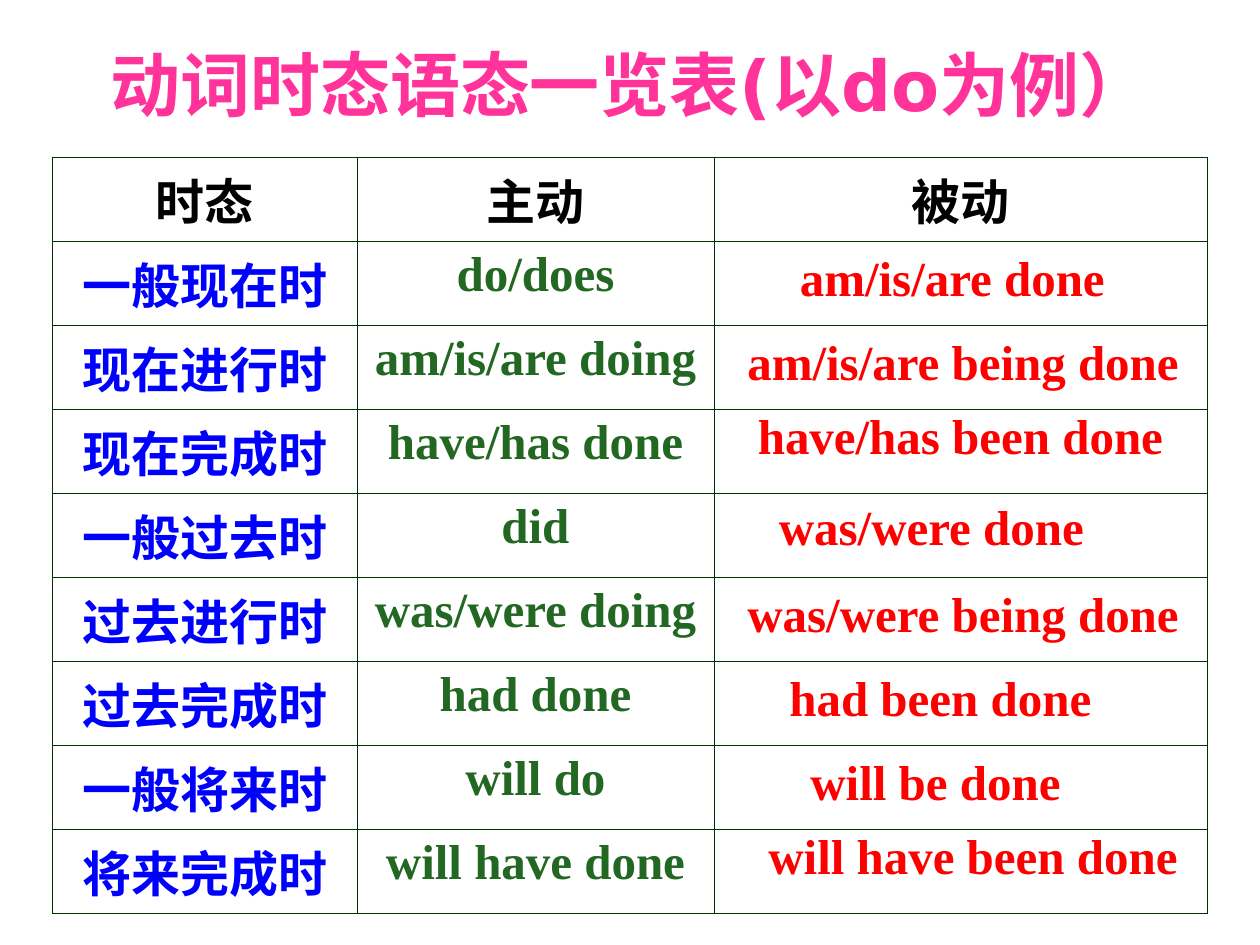
import lxml.etree
import pptx
import pptx.dml.color
import pptx.enum.text
import pptx.oxml.ns
import pptx.util

RGBColor = pptx.dml.color.RGBColor
PINK = RGBColor(0xFF, 0x33, 0x99)
BLACK = RGBColor(0x00, 0x00, 0x00)
BLUE = RGBColor(0x00, 0x00, 0xFF)
GREEN = RGBColor(0x22, 0x68, 0x22)
RED = RGBColor(0xFF, 0x00, 0x00)
BORDER = RGBColor(0x00, 0x33, 0x00)

SANS = "DejaVu Sans"
SERIF = "Times New Roman"
ALIGN = pptx.enum.text.PP_ALIGN
ANCHOR = pptx.enum.text.MSO_ANCHOR

GRID_COLUMNS, GRID_ROWS = 120, 90
COLUMN_WIDTHS = [29, 34, 47]
ROW_HEIGHT = 8
HEADINGS = ["时态", "主动", "被动"]

# Tense, active form, passive form, then the passive label's left, top and width
TENSES = [
    ("一般现在时", "do/does", "am/is/are done", 75, 23, 31.5),
    ("现在进行时", "am/is/are doing", "am/is/are being done", 70, 31, 43.5),
    ("现在完成时", "have/has done", "have/has been done", 71, 38, 43),
    ("一般过去时", "did", "was/were done", 73, 46.7, 31.5),
    ("过去进行时", "was/were doing", "was/were being done", 70, 55, 43.5),
    ("过去完成时", "had done", "had been done", 74, 63, 39),
    ("一般将来时", "will do", "will be done", 76, 71, 35),
    ("将来完成时", "will have done", "will have been done", 72, 78, 43),
]


def write_text(frame, text, font=SERIF, size=28, color=BLACK, align=ALIGN.LEFT):
    paragraph = frame.paragraphs[0]
    paragraph.alignment = align
    run = paragraph.add_run()
    run.text = text
    run.font.name = font
    run.font.size = pptx.util.Pt(size)
    run.font.bold = True
    run.font.color.rgb = color


class SlideBuilder:
    """Places elements on a grid of equal columns and rows."""

    thin, thick = 0.45, 1.08

    def __init__(self, presentation):
        self.slide = presentation.slides.add_slide(presentation.slide_layouts[6])
        self.column = presentation.slide_width / GRID_COLUMNS
        self.row = presentation.slide_height / GRID_ROWS

    def place(self, left, top, width, height):
        return (round(left * self.column), round(top * self.row),
                round(width * self.column), round(height * self.row))

    def label(self, text, left, top, width, height, anchor=ANCHOR.TOP, wrap=True, **style):
        shape = self.slide.shapes.add_textbox(*self.place(left, top, width, height))
        frame = shape.text_frame
        frame.word_wrap = wrap
        frame.vertical_anchor = anchor
        write_text(frame, text, **style)

    def border(self, cell, side, width):
        properties = cell._tc.get_or_add_tcPr()
        line = lxml.etree.SubElement(properties, pptx.oxml.ns.qn("a:ln" + side),
                                     w=str(pptx.util.Pt(width)))
        fill = lxml.etree.SubElement(line, pptx.oxml.ns.qn("a:solidFill"))
        lxml.etree.SubElement(fill, pptx.oxml.ns.qn("a:srgbClr"), val=str(BORDER))

    def table(self, left, top, widths, row_height, rows, styles):
        place = self.place(left, top, sum(widths), row_height * len(rows))
        table = self.slide.shapes.add_table(len(rows), len(widths), *place).table
        table.first_row = table.horz_banding = False
        for column, width in zip(table.columns, widths):
            column.width = round(width * self.column)
        last_row, last_column = len(rows) - 1, len(widths) - 1
        for row_index, texts in enumerate(rows):
            table.rows[row_index].height = round(row_height * self.row)
            for column_index, text in enumerate(texts):
                cell = table.cell(row_index, column_index)
                # Outer edges are heavier than inner rules
                outer = {"L": column_index == 0, "R": column_index == last_column,
                         "T": row_index == 0, "B": row_index == last_row}
                for side, is_outer in outer.items():
                    self.border(cell, side, self.thick if is_outer else self.thin)
                cell.fill.background()
                if text:
                    font, color = styles[column_index]
                    write_text(cell.text_frame, text, font=font, align=ALIGN.CENTER,
                               color=color if row_index else BLACK)


def main():
    presentation = pptx.Presentation()
    presentation.slide_width = pptx.util.Inches(10)
    presentation.slide_height = pptx.util.Inches(7.5)
    builder = SlideBuilder(presentation)

    # Title
    builder.label("动词时态语态一览表(以do为例）", 5, 2, 110, 12, anchor=ANCHOR.MIDDLE,
                  font=SANS, size=40, color=PINK, align=ALIGN.CENTER)

    # Table of tenses; the passive column is filled by labels
    rows = [HEADINGS] + [[tense, active, ""] for tense, active, *_ in TENSES]
    builder.table(5, 15, COLUMN_WIDTHS, ROW_HEIGHT, rows,
                  [(SANS, BLUE), (SERIF, GREEN), (SANS, BLACK)])

    # Passive forms
    for _, _, passive, left, top, width in TENSES:
        builder.label(passive, left, top, width, 6.8, color=RED)

    presentation.save("out.pptx")


if __name__ == "__main__":
    main()
